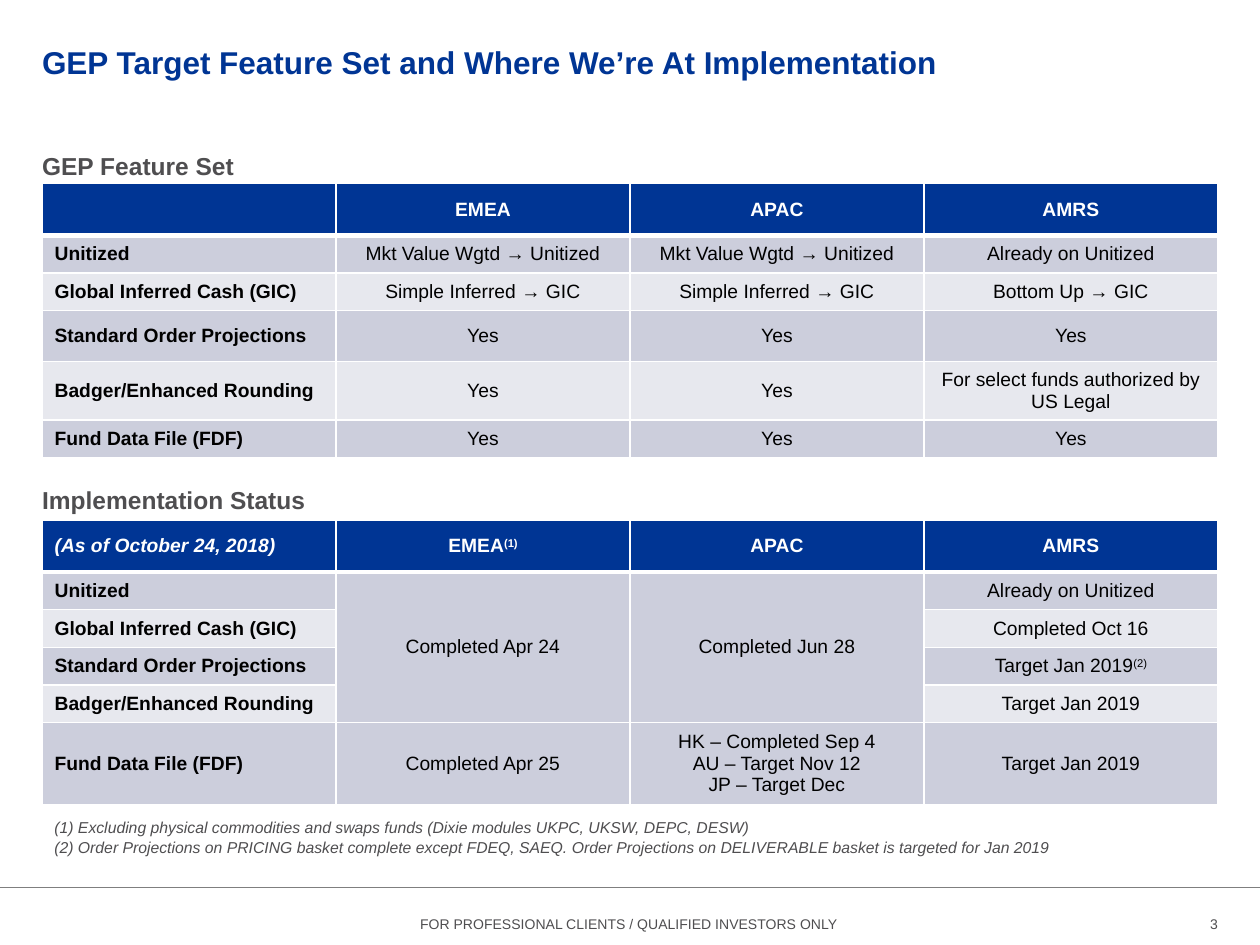
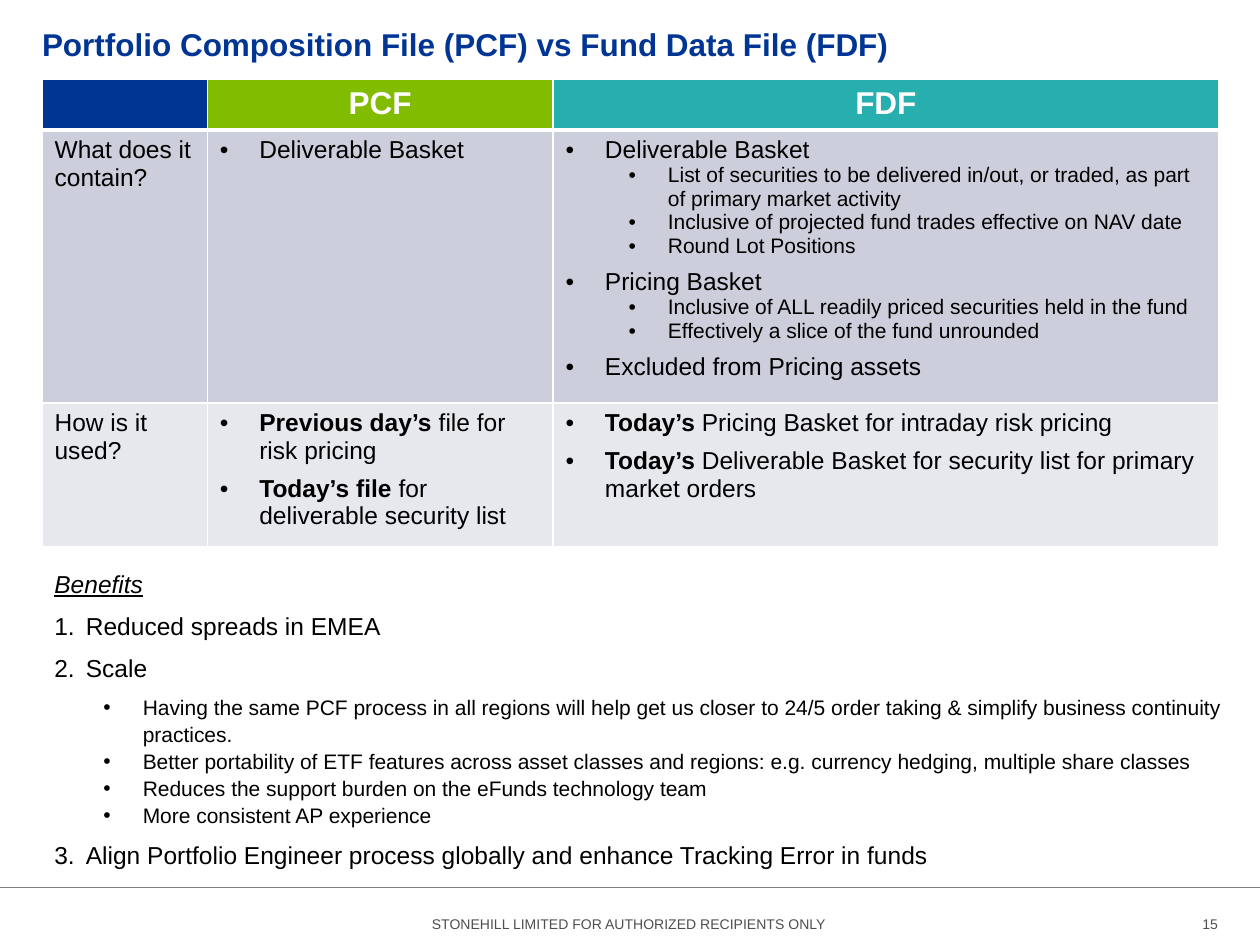
from lxml import etree
from pptx import Presentation
from pptx.dml.color import RGBColor
from pptx.enum.shapes import MSO_CONNECTOR
from pptx.enum.text import MSO_ANCHOR, PP_ALIGN
from pptx.oxml.ns import qn
from pptx.util import Pt

LEFT, CENTER, RIGHT = PP_ALIGN.LEFT, PP_ALIGN.CENTER, PP_ALIGN.RIGHT
TOP, MIDDLE = MSO_ANCHOR.TOP, MSO_ANCHOR.MIDDLE
STRAIGHT = MSO_CONNECTOR.STRAIGHT

FONT = "Arial"
NAVY, GREEN, TEAL = "003594", "82BC00", "27AFAF"
GREY, RULE, BLACK, WHITE = "4F4E50", "7F7F7F", "000000", "FFFFFF"
BANDS = ["CCCEDC", "E7E8EE"]
SLIDE_W, SLIDE_H = 720, 540
MARGIN, BODY_W = 24, 672
BOX_SPACING = 1.07


def rgb(value):
    return RGBColor.from_string(value)


# ---- Text ----
def add_runs(p, runs, size, color, bold=False, italic=False):
    """runs: a string, or (text, flags) pairs; flags b, i, u, ^ (superscript)."""
    if isinstance(runs, str):
        runs = [(runs, "")]
    for text, flags in runs:
        r = p.add_run()
        r.text = text
        f = r.font
        f.name, f.size, f.color.rgb = FONT, Pt(size), rgb(color)
        f.bold = bold or "b" in flags
        f.italic = italic or "i" in flags
        if "u" in flags:
            f.underline = True
        if "^" in flags:
            f._element.set("baseline", "30000")


def set_bullet(p, indent, hang, number=False):
    pPr = p._p.get_or_add_pPr()
    pPr.set("marL", str(Pt(indent)))
    pPr.set("indent", str(-Pt(hang)))
    if number:
        etree.SubElement(pPr, qn("a:buFont"), typeface="+mj-lt")
        etree.SubElement(pPr, qn("a:buAutoNum"), type="arabicPeriod")
    else:
        etree.SubElement(pPr, qn("a:buFont"), typeface=FONT)
        etree.SubElement(pPr, qn("a:buChar"), char="•")


def next_para(tf, index):
    return tf.paragraphs[0] if index == 0 else tf.add_paragraph()


def add_box(s, x, y, w, h, anchor=TOP, inset=(0, 0, 0, 0)):
    tf = s.shapes.add_textbox(Pt(x), Pt(y), Pt(w), Pt(h)).text_frame
    tf.word_wrap = True
    tf.vertical_anchor = anchor
    (tf.margin_left, tf.margin_top,
     tf.margin_right, tf.margin_bottom) = [Pt(v) for v in inset]
    return tf


def add_label(s, x, y, w, h, text, size, color, align=LEFT, bold=False,
              inset=(0, 0, 0, 0)):
    p = add_box(s, x, y, w, h, MIDDLE, inset).paragraphs[0]
    p.alignment = align
    add_runs(p, text, size, color, bold)


# ---- Parts every slide shares ----
def add_frame(prs, title, footer, number, title_lift=0):
    s = prs.slides.add_slide(prs.slide_layouts[6])
    line = s.shapes.add_connector(STRAIGHT, 0, Pt(507), Pt(SLIDE_W), Pt(507))
    line.line.color.rgb = rgb(RULE)
    line.line.width = Pt(0.75)
    etree.SubElement(line._element.spPr, qn("a:effectLst"))
    add_label(s, MARGIN, 11.5, BODY_W, 47.5, title, 18, NAVY, bold=True,
              inset=(0, 0, 0, title_lift))
    add_label(s, 118, 519, 483, 17.5, footer, 8, GREY, CENTER)
    add_label(s, 666.5, 519, 29.5, 17.5, number, 8, GREY, RIGHT)
    return s


# ---- Tables ----
def set_borders(cell, top=1, bottom=1):
    tcPr = cell._tc.get_or_add_tcPr()
    for tag, width in (("lnL", 1), ("lnR", 1), ("lnT", top), ("lnB", bottom)):
        ln = etree.SubElement(tcPr, qn(f"a:{tag}"), w=str(Pt(width)))
        fill = etree.SubElement(ln, qn("a:solidFill"))
        etree.SubElement(fill, qn("a:srgbClr"), val=WHITE)


def add_grid(s, x, y, col_widths, row_heights, header_fills):
    """An empty table with a coloured header and banded rows."""
    table = s.shapes.add_table(len(row_heights), len(col_widths), Pt(x), Pt(y),
                               Pt(sum(col_widths)), Pt(sum(row_heights))).table
    table.horz_banding = False
    for col, width in zip(table.columns, col_widths):
        col.width = Pt(width)
    for i, height in enumerate(row_heights):
        table.rows[i].height = Pt(height)
        for j, header_fill in enumerate(header_fills):
            cell = table.cell(i, j)
            set_borders(cell, top=3 if i == 1 else 1, bottom=3 if i == 0 else 1)
            cell.fill.solid()
            cell.fill.fore_color.rgb = rgb(BANDS[(i - 1) % 2] if i else header_fill)
    return table


def add_region_table(s, y, row_heights, rows, merges=()):
    """Feature names down the side, regions across the top."""
    table = add_grid(s, MARGIN, y, [BODY_W / 4] * 4, row_heights, [NAVY] * 4)
    for i, row in enumerate(rows):
        for j, content in enumerate(row):
            cell = table.cell(i, j)
            cell.vertical_anchor = MIDDLE
            if not content:
                continue
            lines = content.split("\n") if isinstance(content, str) else [content]
            for k, runs in enumerate(lines):
                p = next_para(cell.text_frame, k)
                p.alignment = CENTER if j else LEFT
                add_runs(p, runs, 11, BLACK if i else WHITE, bold=i == 0 or j == 0)
    for first, last, col in merges:
        table.cell(first, col).merge(table.cell(last, col))


def add_comparison_table(s, x, y, rows):
    """Header names, then rows of a question and (level, runs, space after) lists."""
    table = add_grid(s, x, y, [94.5, 197.5, 380.5], [28, 152.5, 82],
                     [NAVY, GREEN, TEAL])
    for j, name in enumerate(["PCF", "FDF"], 1):
        p = table.cell(0, j).text_frame.paragraphs[0]
        p.alignment = CENTER
        add_runs(p, name, 18, WHITE, bold=True)
    for i, (question, *answers) in enumerate(rows, 1):
        add_runs(table.cell(i, 0).text_frame.paragraphs[0], question, 14, BLACK)
        for j, answer in enumerate(answers, 1):
            for k, (level, runs, after) in enumerate(answer):
                p = next_para(table.cell(i, j).text_frame, k)
                p.level = level
                p.space_after = Pt(after)
                set_bullet(p, 22.5 + 36 * level, 22.5)
                add_runs(p, runs, 12 if level else 14, BLACK)


# ---- Text regions ----
def add_footnotes(s, x, y, w, h, notes):
    tf = add_box(s, x, y, w, h, inset=(7.2, 3.6, 7.2, 3.6))
    for k, note in enumerate(notes):
        p = next_para(tf, k)
        p.line_spacing = BOX_SPACING
        add_runs(p, note, 9, GREY, italic=True)


def add_benefits(s, x, y, w, h, items):
    tf = add_box(s, x, y, w, h, inset=(7.2, 3.6, 7.2, 3.6))
    heading = tf.paragraphs[0]
    heading.line_spacing = BOX_SPACING
    heading.space_after = Pt(6)
    add_runs(heading, [("Benefits", "iu")], 14, BLACK)
    for level, text, after in items:
        p = tf.add_paragraph()
        p.level = level
        p.line_spacing = BOX_SPACING
        p.space_after = Pt(after)
        if level:
            set_bullet(p, 50.5, 22.5)
        else:
            set_bullet(p, 18, 18, number=True)
        add_runs(p, text, 12 if level else 14, BLACK)


# ---- Slides ----
def build_feature_slide(prs):
    s = add_frame(prs, "GEP Target Feature Set and Where We’re At Implementation",
                  "FOR PROFESSIONAL CLIENTS / QUALIFIED INVESTORS ONLY", "3")
    for y, heading in ((86, "GEP Feature Set"), (277, "Implementation Status")):
        add_label(s, MARGIN, y, BODY_W, 17, heading, 14, GREY, bold=True)

    unitized, gic = "Mkt Value Wgtd → Unitized", "Simple Inferred → GIC"
    features = ["Unitized", "Global Inferred Cash (GIC)", "Standard Order Projections",
                "Badger/Enhanced Rounding", "Fund Data File (FDF)"]
    feature_set = [
        [unitized, unitized, "Already on Unitized"],
        [gic, gic, "Bottom Up → GIC"],
        ["Yes"] * 3,
        ["Yes", "Yes", "For select funds authorized by US Legal"],
        ["Yes"] * 3,
    ]
    status = [
        ["Completed Apr 24", "Completed Jun 28", "Already on Unitized"],
        ["", "", "Completed Oct 16"],
        ["", "", [("Target Jan 2019", ""), ("(2)", "^")]],
        ["", "", "Target Jan 2019"],
        ["Completed Apr 25",
         "HK – Completed Sep 4\nAU – Target Nov 12\nJP – Target Dec",
         "Target Jan 2019"],
    ]
    add_region_table(
        s, 105, [29.5, 21.5, 21.5, 29, 31.8, 21.5],
        [["", "EMEA", "APAC", "AMRS"]]
        + [[name, *row] for name, row in zip(features, feature_set)])
    add_region_table(
        s, 297.4, [29.5, 21.5, 21.5, 21.5, 21.5, 44],
        [[[("(As of October 24, 2018)", "i")], [("EMEA", ""), ("(1)", "^")],
          "APAC", "AMRS"]]
        + [[name, *row] for name, row in zip(features, status)],
        merges=[(1, 4, 1), (1, 4, 2)])
    add_footnotes(s, MARGIN, 463, 636.5, 29, [
        "(1) Excluding physical commodities and swaps funds "
        "(Dixie modules UKPC, UKSW, DEPC, DESW)",
        "(2) Order Projections on PRICING basket complete except FDEQ, SAEQ. "
        "Order Projections on DELIVERABLE basket is targeted for Jan 2019"])


def build_file_slide(prs):
    s = add_frame(prs, "Portfolio Composition File (PCF) vs Fund Data File (FDF)",
                  "STONEHILL LIMITED FOR AUTHORIZED RECIPIENTS ONLY", "15",
                  title_lift=20)
    add_comparison_table(s, MARGIN, 45.4, [
        ("What does it contain?",
         [(0, "Deliverable Basket", 0)],
         [(0, "Deliverable Basket", 0),
          (1, "List of securities to be delivered in/out, or traded, "
              "as part of primary market activity", 0),
          (1, "Inclusive of projected fund trades effective on NAV date", 0),
          (1, "Round Lot Positions", 6),
          (0, "Pricing Basket", 0),
          (1, "Inclusive of ALL readily priced securities held in the fund", 0),
          (1, "Effectively a slice of the fund unrounded", 6),
          (0, "Excluded from Pricing assets", 6)]),
        ("How is it used?",
         [(0, [("Previous day’s ", "b"), ("file for risk pricing", "")], 6),
          (0, [("Today’s file ", "b"), ("for deliverable security list", "")], 0)],
         [(0, [("Today’s", "b"),
               (" Pricing Basket for intraday risk pricing", "")], 6),
          (0, [("Today’s", "b"),
               (" Deliverable Basket for security list for primary market orders",
                "")], 0)]),
    ])
    add_benefits(s, MARGIN, 320.4, 702.7, 172, [
        (0, "Reduced spreads in EMEA", 6),
        (0, "Scale", 6),
        (1, "Having the same PCF process in all regions will help get us closer to "
            "24/5 order taking & simplify business continuity practices.", 0),
        (1, "Better portability of ETF features across asset classes and regions: "
            "e.g. currency hedging, multiple share classes", 0),
        (1, "Reduces the support burden on the eFunds technology team", 0),
        (1, "More consistent AP experience", 6),
        (0, "Align Portfolio Engineer process globally and enhance "
            "Tracking Error in funds", 0),
    ])


def main():
    prs = Presentation()
    prs.slide_width, prs.slide_height = Pt(SLIDE_W), Pt(SLIDE_H)
    build_feature_slide(prs)
    build_file_slide(prs)
    prs.save("out.pptx")


if __name__ == "__main__":
    main()
